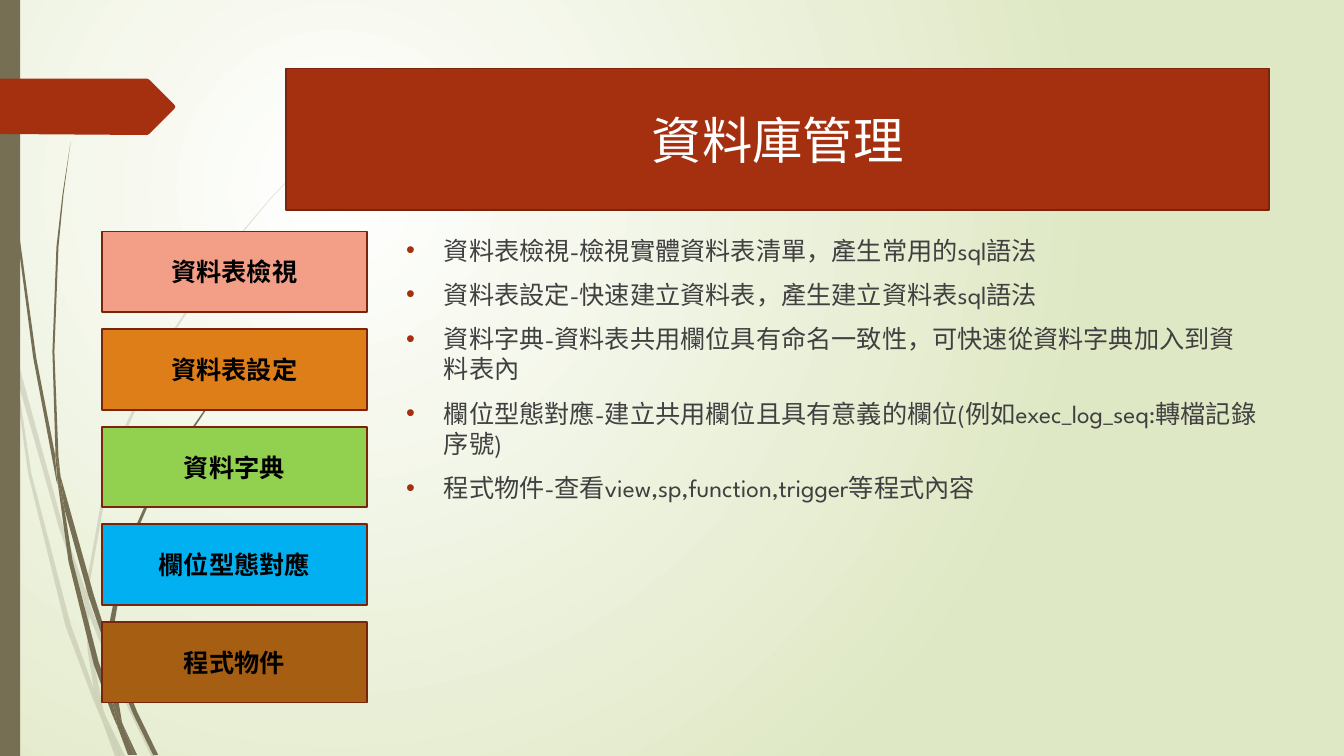
from pptx import Presentation
from pptx.dml.color import RGBColor
from pptx.enum.shapes import MSO_SHAPE as SHAPE
from pptx.enum.text import MSO_ANCHOR as ANCHOR, PP_ALIGN as ALIGN
from pptx.oxml.ns import qn
from pptx.util import Pt
from lxml.etree import SubElement

FONT = "League Spartan"
WHITE = RGBColor(0xFF, 0xFF, 0xFF)
BLACK = RGBColor(0, 0, 0)
GRAY = RGBColor(0x40, 0x40, 0x40)
SAGE = RGBColor(0xDF, 0xE8, 0xC4)
OLIVE = RGBColor(0x76, 0x6F, 0x54)
RED = RGBColor(0xA5, 0x30, 0x10)
MAROON = RGBColor(0x7A, 0x24, 0x0C)
SALMON = RGBColor(0xF3, 0x9E, 0x87)
ORANGE = RGBColor(0xDE, 0x7E, 0x18)
GREEN = RGBColor(0x92, 0xD0, 0x50)
BLUE = RGBColor(0x00, 0xB0, 0xF0)
BROWN = RGBColor(0xA6, 0x5E, 0x12)

OUTLINE_UNIT = 0.72

PALE_GRASS = [
    [(11, 350), (9, 322), (0, 282), (0, 299), (10, 344)],
    [(58, 522), (84, 599), (85, 586), (62, 520), (14, 345), (17, 376)],
    [(92, 607), (88, 596), (88, 610), (123, 694), (150, 750), (155, 750),
     (127, 692)],
    [(119, 750), (124, 750), (105, 711)],
    [(93, 683), (70, 619), (31, 469), (17, 376), (11, 350), (28, 470),
     (65, 621), (92, 693), (101, 714), (99, 707)],
    [(84, 599), (87, 646), (93, 683), (96, 692), (105, 711), (103, 706),
     (91, 646), (88, 610), (88, 608)],
    [(88, 584), (110, 462), (160, 349), (229, 245), (268, 198), (290, 175),
     (312, 154), (312, 153), (289, 175), (268, 197), (228, 244), (158, 348),
     (107, 461), (85, 584), (85, 586), (88, 596)],
    [(101, 714), (114, 750), (119, 750)],
    [(88, 608), (88, 610), (88, 596), (85, 586), (84, 599)],
    [(96, 692), (93, 683), (99, 707), (101, 714), (119, 750), (105, 711)],
]
DARK_GRASS = [
    [(7, 110), (17, 233), (33, 355), (56, 477), (57, 481), (55, 457),
     (55, 453), (36, 355), (19, 232), (8, 109), (5, 48), (4, 0), (3, 0),
     (4, 48)],
    [(88, 592), (106, 645), (106, 633), (106, 631), (93, 590), (60, 472),
     (64, 505)],
    [(113, 649), (110, 641), (111, 656), (132, 708), (152, 749), (157, 749),
     (136, 706)],
    [(110, 691), (98, 657), (72, 556), (64, 505), (57, 477), (68, 557),
     (93, 659), (111, 708), (117, 722), (116, 717)],
    [(60, 472), (58, 453), (54, 349), (58, 245), (63, 193), (70, 141),
     (62, 193), (56, 245), (52, 349), (55, 449)],
    [(133, 749), (136, 749), (122, 719)],
    [(57, 477), (64, 505), (60, 472), (55, 449), (55, 453)],
    [(111, 633), (125, 552), (158, 476), (205, 406), (231, 374), (245, 359),
     (261, 344), (260, 344), (245, 358), (231, 373), (204, 405), (156, 474),
     (122, 551), (106, 631), (110, 641)],
    [(117, 722), (127, 749), (131, 749)],
    [(106, 645), (110, 691), (116, 706), (122, 719), (121, 716), (111, 656),
     (109, 651)],
    [(116, 706), (110, 691), (116, 717), (117, 722), (130, 749), (133, 749),
     (122, 719)],
]
RIBBON = [(0, 78), (146, 78), (148, 79), (173, 104), (174, 106), (173, 108),
          (148, 133), (146, 134), (0, 133)]

FEATURES = [
    ("資料表檢視", SALMON, "檢視實體資料表清單，產生常用的sql語法"),
    ("資料表設定", ORANGE, "快速建立資料表，產生建立資料表sql語法"),
    ("資料字典", GREEN, "資料表共用欄位具有命名一致性，可快速從資料字典加入到資料表內"),
    ("欄位型態對應", BLUE, "建立共用欄位且具有意義的欄位(例如exec_log_seq:轉檔記錄序號)"),
    ("程式物件", BROWN, "查看view,sp,function,trigger等程式內容"),
]


class SlideBuilder:
    """Draws styled elements on one slide, with lengths in points."""

    def __init__(self, s, font):
        self.s = s
        self.font = font

    def background(self, inner, outer):
        fill = self.s.background.fill
        fill.gradient()
        for stop, color in zip(fill.gradient_stops, (inner, outer)):
            stop.color.rgb = color
        grad = self.s._element.find(".//" + qn("a:gradFill"))
        grad.remove(grad.find(qn("a:lin")))
        circle = SubElement(grad, qn("a:path"), path="circle")
        SubElement(circle, qn("a:fillToRect"),
                   l="50000", t="50000", r="100000", b="100000")

    def paint(self, sp, fill, line=None):
        sp.shadow.inherit = False
        sp.fill.solid()
        sp.fill.fore_color.rgb = fill
        if line is None:
            sp.line.fill.background()
        else:
            sp.line.color.rgb = line
            sp.line.width = Pt(1.25)

    def outline(self, points, fill, opacity=100):
        builder = self.s.shapes.build_freeform(*points[0], scale=Pt(OUTLINE_UNIT))
        builder.add_line_segments(points[1:], close=True)
        sp = builder.convert_to_shape()
        self.paint(sp, fill)
        if opacity < 100:
            color = sp._element.spPr.find(".//" + qn("a:srgbClr"))
            SubElement(color, qn("a:alpha"), val=str(opacity * 1000))

    def rect(self, x, y, w, h, fill, line=None):
        sp = self.s.shapes.add_shape(SHAPE.RECTANGLE, Pt(x), Pt(y), Pt(w), Pt(h))
        self.paint(sp, fill, line)
        return sp

    def format(self, p, size, color, bold=False):
        for r in p.runs:
            r.font.name = self.font
            r.font.size = Pt(size)
            r.font.bold = bold
            r.font.color.rgb = color

    def label(self, x, y, w, h, text, fill, size, color, bold=False):
        tf = self.rect(x, y, w, h, fill, MAROON).text_frame
        tf.word_wrap = True
        tf.vertical_anchor = ANCHOR.MIDDLE
        tf.text = text
        p = tf.paragraphs[0]
        p.alignment = ALIGN.CENTER
        self.format(p, size, color, bold)

    def bullets(self, x, y, w, h, lines, size, color, indent):
        tf = self.s.shapes.add_textbox(Pt(x), Pt(y), Pt(w), Pt(h)).text_frame
        tf.word_wrap = True
        tf.text = "\n".join(lines)
        for p in tf.paragraphs:
            p.space_before = Pt(10)
            self.format(p, size, color)
            pPr = p._p.get_or_add_pPr()
            pPr.set("marL", str(Pt(indent)))
            pPr.set("indent", str(-Pt(indent)))
            tint = SubElement(pPr, qn("a:buClr"))
            SubElement(tint, qn("a:srgbClr"), val=str(RED))
            SubElement(pPr, qn("a:buFont"), typeface="Arial")
            SubElement(pPr, qn("a:buChar"), char="•")


def main():
    prs = Presentation()
    prs.slide_width, prs.slide_height = Pt(960), Pt(540)
    slide = SlideBuilder(prs.slides.add_slide(prs.slide_layouts[6]), FONT)
    slide.background(WHITE, SAGE)
    for blade in PALE_GRASS:
        slide.outline(blade, OLIVE, opacity=20)
    for blade in DARK_GRASS:
        slide.outline(blade, OLIVE)
    slide.rect(0, 0, 14.4, 540, OLIVE)
    slide.outline(RIBBON, RED)
    slide.label(204.5, 49, 702, 100.8, "資料庫管理", RED, 36, WHITE)
    for i, (name, color, _) in enumerate(FEATURES):
        slide.label(72.7, 165.4 + 69.7 * i, 189.4, 57.6, name, color, 18, BLACK, True)
    lines = [f"{name}-{detail}" for name, _, detail in FEATURES]
    slide.bullets(283, 164.2, 622.8, 297.4, lines, 18, GRAY, 27)
    prs.save("out.pptx")


if __name__ == "__main__":
    main()
